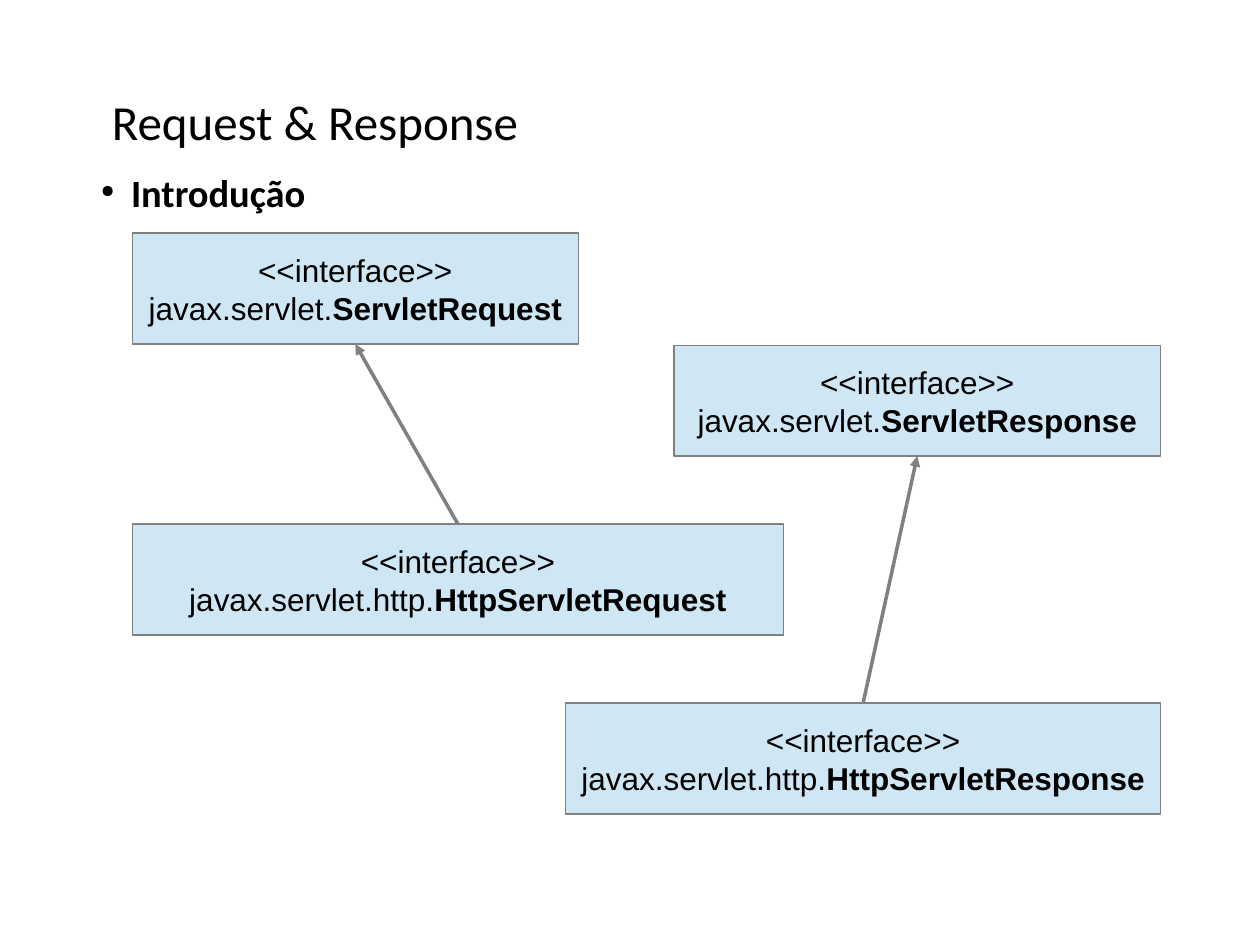
from lxml import etree
from pptx import Presentation
from pptx.dml.color import RGBColor
from pptx.enum.shapes import MSO_CONNECTOR, MSO_SHAPE
from pptx.enum.text import MSO_ANCHOR, PP_ALIGN
from pptx.oxml.ns import qn
from pptx.util import Inches, Pt

RECTANGLE = MSO_SHAPE.RECTANGLE
STRAIGHT = MSO_CONNECTOR.STRAIGHT
MIDDLE = MSO_ANCHOR.MIDDLE
CENTER = PP_ALIGN.CENTER
TOP_SIDE, BOTTOM_SIDE = 0, 2

BLACK, GRAY, LIGHT_BLUE = "000000", "808080", "CFE7F5"


def color(hex_string):
    return RGBColor.from_string(hex_string)


def add_run(paragraph, text, size, font_name, bold=False):
    run = paragraph.add_run()
    run.text = text
    run.font.size = Pt(size)
    run.font.name = font_name
    run.font.bold = bold
    run.font.color.rgb = color(BLACK)


presentation = Presentation()
presentation.slide_width = WIDTH = Inches(10)
presentation.slide_height = HEIGHT = Inches(7.5)
slide = presentation.slides.add_slide(presentation.slide_layouts[6])
shapes = slide.shapes

# Title
title = shapes.add_textbox(Inches(0.79), Inches(0.22), Inches(8.5), Inches(1.48))
title.text_frame.word_wrap = True
title.text_frame.vertical_anchor = MIDDLE
add_run(title.text_frame.paragraphs[0], "Request & Response", 28, "Calibri")

# Bulleted heading
heading = shapes.add_textbox(Inches(0.8), Inches(1.34), Inches(7.46), Inches(0.37))
frame = heading.text_frame
frame.word_wrap = True
frame.vertical_anchor = MIDDLE
frame.margin_left = frame.margin_top = frame.margin_right = frame.margin_bottom = 0
paragraph = frame.paragraphs[0]
paragraph.space_before = Pt(8)
add_run(paragraph, "Introdução", 22, "Calibri", bold=True)
properties = paragraph._p.get_or_add_pPr()
properties.set("marL", str(Inches(0.24)))
properties.set("indent", str(-Inches(0.24)))
etree.SubElement(properties, qn("a:buSzPct"), val="45000")
etree.SubElement(properties, qn("a:buChar"), char="●")

# Interface boxes: requests share the left edge, responses the right edge
LEFT_EDGE, RIGHT_EDGE = Inches(1.05), Inches(9.21)
BOX_HEIGHT = Inches(0.88)
interfaces = [
    ("javax.servlet.", "ServletRequest", "left", 1.85, 3.54),
    ("javax.servlet.", "ServletResponse", "right", 2.74, 3.86),
    ("javax.servlet.http.", "HttpServletRequest", "left", 4.16, 5.17),
    ("javax.servlet.http.", "HttpServletResponse", "right", 5.58, 4.72),
]
boxes = {}
for package_name, interface_name, side, top, width in interfaces:
    box_width = Inches(width)
    left = LEFT_EDGE if side == "left" else RIGHT_EDGE - box_width
    box = shapes.add_shape(RECTANGLE, left, Inches(top), box_width, BOX_HEIGHT)
    box.shadow.inherit = False
    box.fill.solid()
    box.fill.fore_color.rgb = color(LIGHT_BLUE)
    box.line.color.rgb = color(GRAY)
    box.line.width = Pt(0)
    frame = box.text_frame
    frame.word_wrap = False
    frame.vertical_anchor = MIDDLE
    stereotype, full_name = frame.paragraphs[0], frame.add_paragraph()
    stereotype.alignment = full_name.alignment = CENTER
    add_run(stereotype, "<<interface>>", 18, "Arial")
    add_run(full_name, package_name, 18, "Arial")
    add_run(full_name, interface_name, 18, "Arial", bold=True)
    boxes[interface_name] = box

# Inheritance arrows, from each child up to its parent
for parent in ("ServletRequest", "ServletResponse"):
    arrow = shapes.add_connector(STRAIGHT, 0, 0, 0, 0)
    arrow.begin_connect(boxes["Http" + parent], TOP_SIDE)
    arrow.end_connect(boxes[parent], BOTTOM_SIDE)
    arrow.line.color.rgb = color(GRAY)
    arrow.line.width = Pt(0)
    etree.SubElement(arrow.line._get_or_add_ln(), qn("a:tailEnd"), type="triangle")
    etree.SubElement(arrow._element.spPr, qn("a:effectLst"))

presentation.save("out.pptx")
